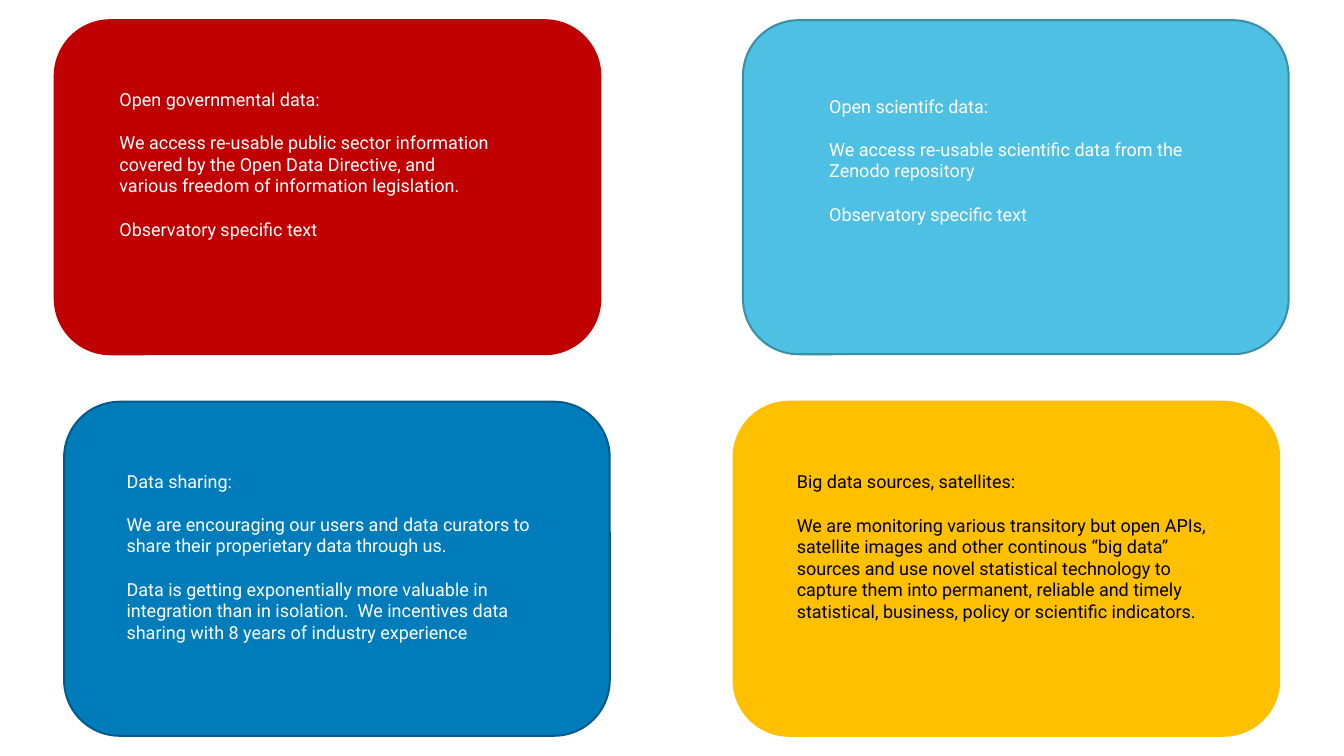
from dataclasses import dataclass

from pptx import Presentation
from pptx.dml.color import RGBColor
from pptx.enum.shapes import MSO_SHAPE
from pptx.slide import Slide
from pptx.util import Inches, Pt

WIDE, HIGH = 18.67, 10.5
CARD_W, CARD_H = 40.6, 44.19  # percent of the slide
TOP, LOW = 2.67, 53.14  # card rows, percent of the slide
HUES = {
    "red": "C00000",
    "sky": "4EC0E4",
    "teal": "398EA8",
    "gold": "FFC000",
    "blue": "007CBB",
    "navy": "005B8A",
    "white": "FFFFFF",
    "black": "000000",
}


@dataclass
class Card:
    left: float
    top: float
    fill: str
    edge: str
    ink: str
    area: tuple[float, float, float, float]  # text box, percent of the slide
    lines: list[str]


CARDS = [
    Card(4.07, TOP, "red", "red", "white", (8.36, 11.24, 28.82, 20.95), [
        "Open governmental data:",
        "We access re-usable public sector information covered by the Open Data "
        "Directive, and various freedom of information legislation.",
        "Observatory specific text",
    ]),
    Card(55.28, TOP, "sky", "teal", "white", (61.17, 12.1, 28.82, 18.1), [
        "Open scientifc data:",
        "We access re-usable scientific data from the Zenodo repository",
        "Observatory specific text",
    ]),
    Card(54.58, LOW, "gold", "gold", "black", (58.76, 61.81, 32.35, 26.67), [
        "Big data sources, satellites:",
        "We are monitoring various transitory but open APIs, satellite images and "
        "other continous “big data” sources and use novel statistical technology "
        "to capture them into permanent, reliable and timely statistical, "
        "business, policy or scientific indicators.",
    ]),
    Card(4.77, LOW, "blue", "navy", "white", (8.89, 61.71, 32.35, 29.52), [
        "Data sharing:",
        "We are encouraging our users and data curators to share their "
        "properietary data through us.",
        "Data is getting exponentially more valuable in integration than in "
        "isolation.  We incentives data sharing with 8 years of industry "
        "experience",
    ]),
]


def tint(name: str) -> RGBColor:
    return RGBColor.from_string(HUES[name])


def place(left: float, top: float, width: float, height: float) -> list[int]:
    """Turn shares of the slide, in percent, into lengths."""
    return [
        Inches(WIDE * left / 100),
        Inches(HIGH * top / 100),
        Inches(WIDE * width / 100),
        Inches(HIGH * height / 100),
    ]


def write(slide: Slide, area: tuple[float, float, float, float], lines: list[str],
          *, ink: str, size: float = 18, font: str = "Roboto",
          gap: float = 21.6) -> None:
    frame = slide.shapes.add_textbox(*place(*area)).text_frame
    frame.word_wrap = True
    for i, line in enumerate(lines):
        para = frame.add_paragraph() if i else frame.paragraphs[0]
        para.space_before = Pt(gap if i else 0)
        run = para.add_run()
        run.text = line
        run.font.name = font
        run.font.size = Pt(size)
        run.font.color.rgb = tint(ink)


def draw(slide: Slide, card: Card) -> None:
    # Rounded panel
    panel = slide.shapes.add_shape(
        MSO_SHAPE.ROUNDED_RECTANGLE, *place(card.left, card.top, CARD_W, CARD_H))
    panel.shadow.inherit = False
    panel.fill.solid()
    panel.fill.fore_color.rgb = tint(card.fill)
    panel.line.color.rgb = tint(card.edge)
    panel.line.width = Pt(2)
    # Text over the panel
    write(slide, card.area, card.lines, ink=card.ink)


def main() -> None:
    deck = Presentation()
    deck.slide_width, deck.slide_height = Inches(WIDE), Inches(HIGH)
    slide = deck.slides.add_slide(deck.slide_layouts[6])
    for card in CARDS:
        draw(slide, card)
    deck.save("out.pptx")


if __name__ == "__main__":
    main()
